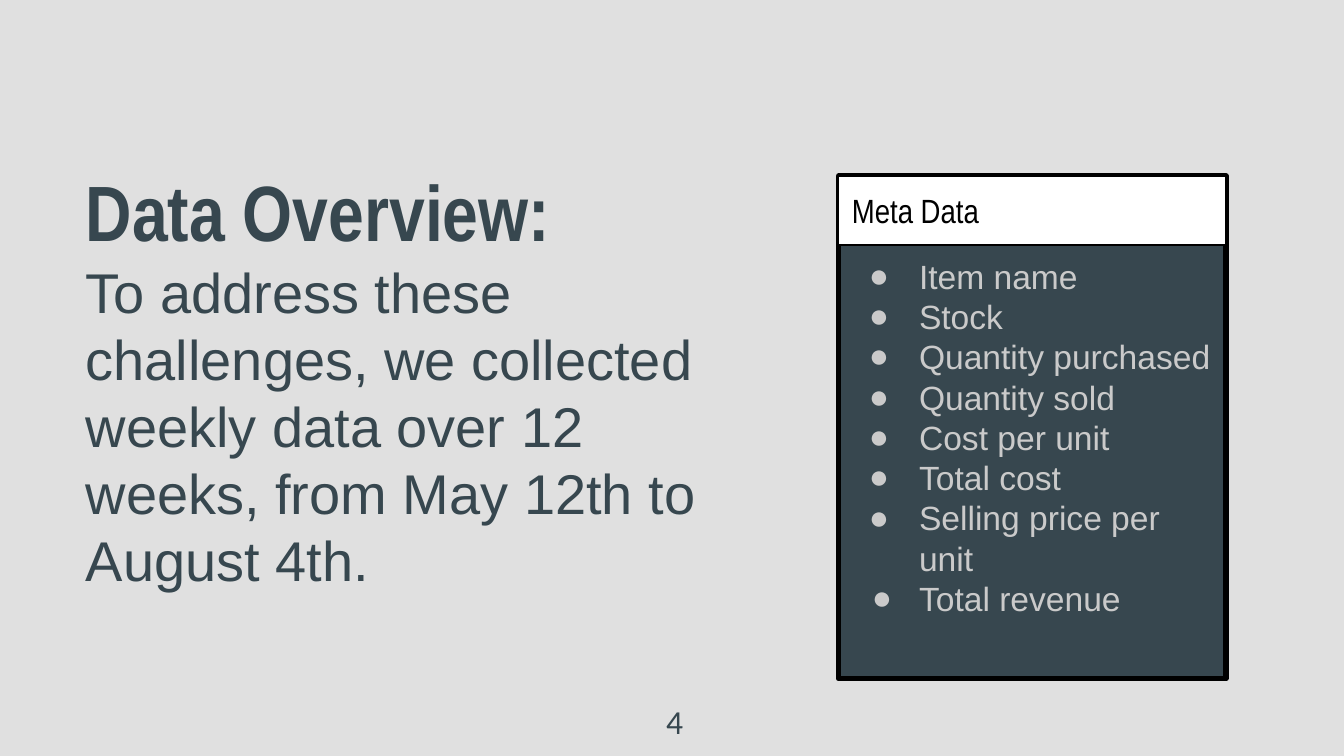
from dataclasses import dataclass

from lxml.etree import SubElement
from pptx import Presentation
from pptx.dml.color import RGBColor
from pptx.enum.shapes import MSO_SHAPE
from pptx.enum.text import MSO_ANCHOR, MSO_AUTO_SIZE, PP_ALIGN
from pptx.oxml.ns import qn
from pptx.util import Cm, Pt


@dataclass(frozen=True)
class Theme:
    """Colours, fonts and type sizes of the deck."""

    paper: str = "E0E0E0"
    slate: str = "37474F"
    white: str = "FFFFFF"
    black: str = "000000"
    silver: str = "CACACA"
    heading_font: str = "Arial Narrow"
    body_font: str = "Arial"
    number_font: str = "Calibri"
    heading_size: int = 42
    statement_size: int = 30
    text_size: int = 18


THEME = Theme()
CARD_LEFT, CARD_TOP, CARD_WIDTH, CARD_HEIGHT = 15.85, 3.33, 7.32, 9.5
HEADER_HEIGHT = 1.3
FIELDS = (
    "Item name",
    "Stock",
    "Quantity purchased",
    "Quantity sold",
    "Cost per unit",
    "Total cost",
    "Selling price per unit",
    "Total revenue",
)


def colour(code):
    """Turn a hex code into a colour."""
    return RGBColor.from_string(code)


def style(para, font_name, size, code, bold=False):
    """Set the font of a left-aligned paragraph."""
    para.alignment = PP_ALIGN.LEFT
    font = para.font
    font.name, font.size, font.bold = font_name, Pt(size), bold
    font.color.rgb = colour(code)


def prepare_frame(frame, anchor=MSO_ANCHOR.TOP):
    """Give a text frame equal insets, wrapping and an anchor."""
    frame.auto_size = MSO_AUTO_SIZE.NONE
    frame.word_wrap = True
    frame.vertical_anchor = anchor
    frame.margin_left = frame.margin_right = Cm(0.25)
    frame.margin_top = frame.margin_bottom = Cm(0.25)


def add_panel(page, height, fill, line_width):
    """Add an outlined rectangle at the top of the card."""
    panel = page.shapes.add_shape(
        MSO_SHAPE.RECTANGLE, Cm(CARD_LEFT), Cm(CARD_TOP), Cm(CARD_WIDTH), Cm(height)
    )
    panel.shadow.inherit = False
    panel.fill.solid()
    panel.fill.fore_color.rgb = colour(fill)
    panel.line.color.rgb = colour(THEME.black)
    panel.line.width = Pt(line_width)
    return panel


def add_text_box(page, left, top, width, height):
    """Add a wrapping text box and return its frame."""
    box = page.shapes.add_textbox(Cm(left), Cm(top), Cm(width), Cm(height))
    prepare_frame(box.text_frame)
    return box.text_frame


def add_bullet(para, hanging):
    """Give a paragraph a round bullet with a hanging indent."""
    properties = para._p.get_or_add_pPr()
    properties.set("marL", str(Cm(1.27)))
    properties.set("indent", str(-Cm(hanging)))
    bullet_colour = SubElement(properties, qn("a:buClr"))
    SubElement(bullet_colour, qn("a:srgbClr"), val=THEME.silver)
    SubElement(properties, qn("a:buFont"), typeface=THEME.body_font)
    SubElement(properties, qn("a:buChar"), char="●")


def fill_title(page):
    """Place the heading and its statement in the title placeholder."""
    title = page.shapes.title
    title.left, title.top, title.width, title.height = (
        Cm(1.37), Cm(1.47), Cm(13.28), Cm(11.35)
    )
    frame = title.text_frame
    prepare_frame(frame, MSO_ANCHOR.MIDDLE)
    heading = frame.paragraphs[0]
    heading.text = "Data Overview:"
    style(heading, THEME.heading_font, THEME.heading_size, THEME.slate, bold=True)
    statement = frame.add_paragraph()
    statement.text = (
        "To address these challenges, we collected weekly data over 12 weeks, "
        "from May 12th to August 4th."
    )
    style(statement, THEME.body_font, THEME.statement_size, THEME.slate)


def add_header(page):
    """Add the white header of the card."""
    frame = add_panel(page, HEADER_HEIGHT, THEME.white, 0.75).text_frame
    prepare_frame(frame, MSO_ANCHOR.MIDDLE)
    para = frame.paragraphs[0]
    para.text = "Meta Data"
    style(para, THEME.heading_font, THEME.text_size, THEME.black)


def add_fields(page):
    """Add the bulleted list of data fields."""
    top = CARD_TOP + HEADER_HEIGHT - 0.05
    height = CARD_HEIGHT - HEADER_HEIGHT + 0.05
    frame = add_text_box(page, CARD_LEFT, top, CARD_WIDTH, height)
    for index, field in enumerate(FIELDS):
        para = frame.add_paragraph() if index else frame.paragraphs[0]
        para.text = field
        add_bullet(para, 0.89 if field == FIELDS[-1] else 0.95)
        style(para, THEME.body_font, THEME.text_size, THEME.silver)


def add_page_number(page):
    """Add the page number at the foot."""
    para = add_text_box(page, 12.34, 13, 0.69, 1.28).paragraphs[0]
    para.text = "4"
    style(para, THEME.number_font, THEME.text_size, THEME.slate)


def main():
    """Build and save the slide."""
    deck = Presentation()
    deck.slide_width, deck.slide_height = Cm(25.4), Cm(14.29)
    page = deck.slides.add_slide(deck.slide_layouts[5])
    page.background.fill.solid()
    page.background.fill.fore_color.rgb = colour(THEME.paper)
    fill_title(page)
    add_panel(page, CARD_HEIGHT, THEME.slate, 3)
    add_header(page)
    add_fields(page)
    add_page_number(page)
    deck.save("out.pptx")


if __name__ == "__main__":
    main()
